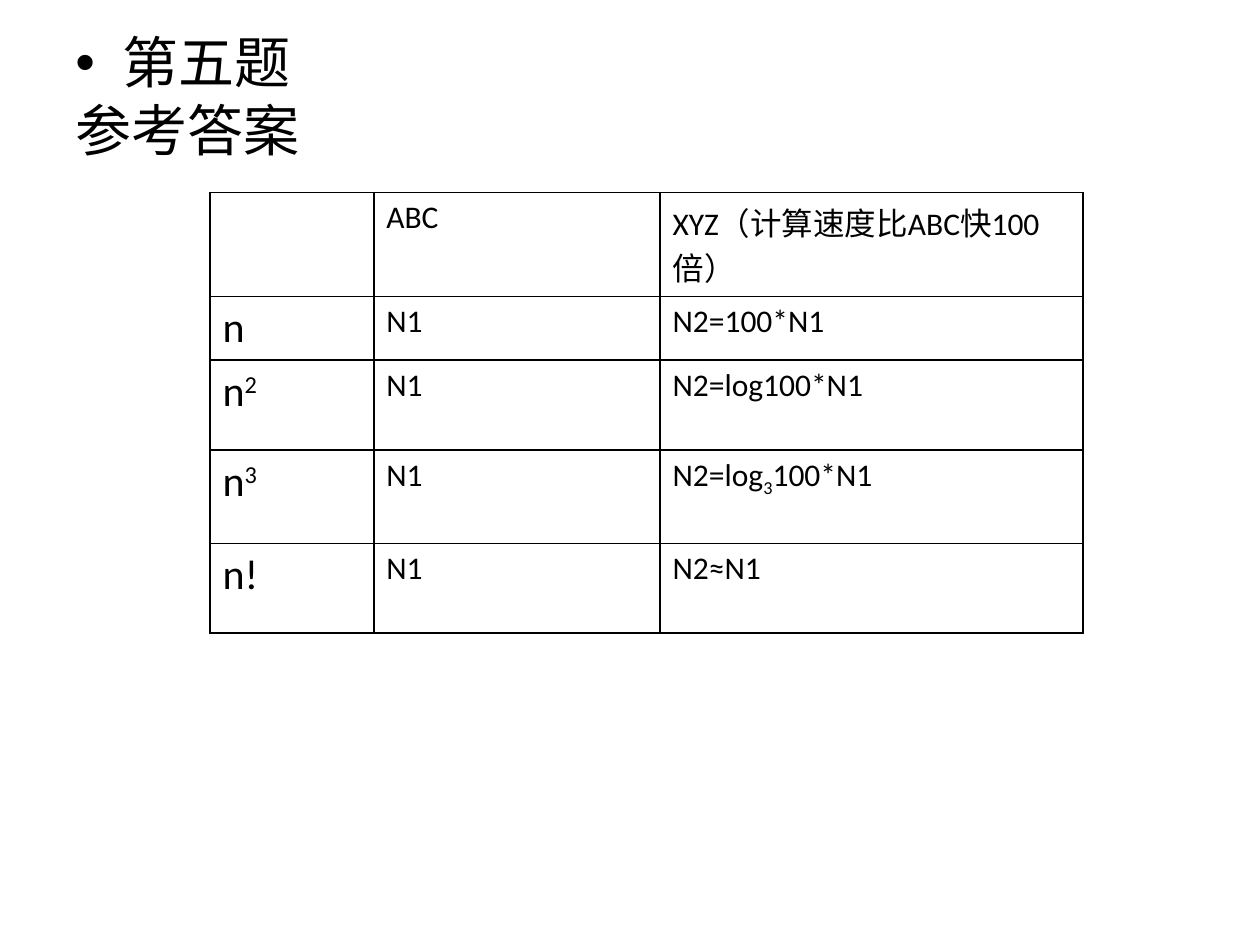
from lxml import etree
from pptx import Presentation
from pptx.dml.color import RGBColor
from pptx.oxml.ns import qn
from pptx.util import Pt

BLACK = RGBColor(0, 0, 0)
FONT = "Calibri"
SUPER, SUB = 30, -25
COL_WIDTHS = [93.6, 163.6, 241.6]
ROW_HEIGHTS = [59.4, 36.3, 51.4, 53.4, 51.2]
ROWS = [
    ([], [("ABC", 0)], [("XYZ（计算速度比ABC快100倍）", 0)]),
    ([("n", 0)], [("N1", 0)], [("N2=100*N1", 0)]),
    ([("n", 0), ("2", SUPER)], [("N1", 0)], [("N2=log100*N1", 0)]),
    ([("n", 0), ("3", SUPER)], [("N1", 0)],
     [("N2=log", 0), ("3", SUB), ("100*N1", 0)]),
    ([("n!", 0)], [("N1", 0)], [("N2≈N1", 0)]),
]


def add_run(p, text, size, baseline=0):
    r = p.add_run()
    r.text = text
    r.font.size = Pt(size)
    r.font.name = FONT
    r.font.color.rgb = BLACK
    if baseline:
        r.font._element.set("baseline", str(baseline * 1000))


def add_heading(slide, left, top, width, height):
    tf = slide.shapes.add_textbox(Pt(left), Pt(top), Pt(width), Pt(height)).text_frame
    tf.word_wrap = True
    for i, (text, bullet) in enumerate([("第五题", True), ("参考答案", False)]):
        p = tf.add_paragraph() if i else tf.paragraphs[0]
        p.line_spacing = 0.9
        if i:
            p.space_before = Pt(4)
        pPr = p._p.get_or_add_pPr()
        if bullet:
            pPr.set("marL", str(Pt(27)))
            pPr.set("indent", str(Pt(-27)))
            etree.SubElement(pPr, qn("a:buFont"), typeface="Arial")
            etree.SubElement(pPr, qn("a:buChar"), char="•")
        add_run(p, text, 32)


def set_borders(cell):
    tcPr = cell._tc.get_or_add_tcPr()
    for i, side in enumerate(("lnL", "lnR", "lnT", "lnB")):
        ln = etree.Element(qn(f"a:{side}"), w=str(Pt(1)))
        fill = etree.SubElement(ln, qn("a:solidFill"))
        etree.SubElement(fill, qn("a:srgbClr"), val=str(BLACK))
        tcPr.insert(i, ln)


def add_answer_table(slide, left, top, width, height):
    table = slide.shapes.add_table(len(ROWS), len(COL_WIDTHS), Pt(left), Pt(top),
                                   Pt(width), Pt(height)).table
    table.first_row = False
    table.horz_banding = False
    for col, w in zip(table.columns, COL_WIDTHS):
        col.width = Pt(w)
    for row, h, texts in zip(table.rows, ROW_HEIGHTS, ROWS):
        row.height = Pt(h)
        for j, (cell, runs) in enumerate(zip(row.cells, texts)):
            cell.fill.background()
            set_borders(cell)
            for text, baseline in runs:
                add_run(cell.text_frame.paragraphs[0], text, 18 if j else 24, baseline)


def main():
    prs = Presentation()
    prs.slide_width, prs.slide_height = Pt(720), Pt(540)
    slide = prs.slides.add_slide(prs.slide_layouts[6])
    add_heading(slide, 36, 16.5, 648, 466)
    add_answer_table(slide, 120, 110, sum(COL_WIDTHS), sum(ROW_HEIGHTS))
    prs.save("out.pptx")


if __name__ == "__main__":
    main()
